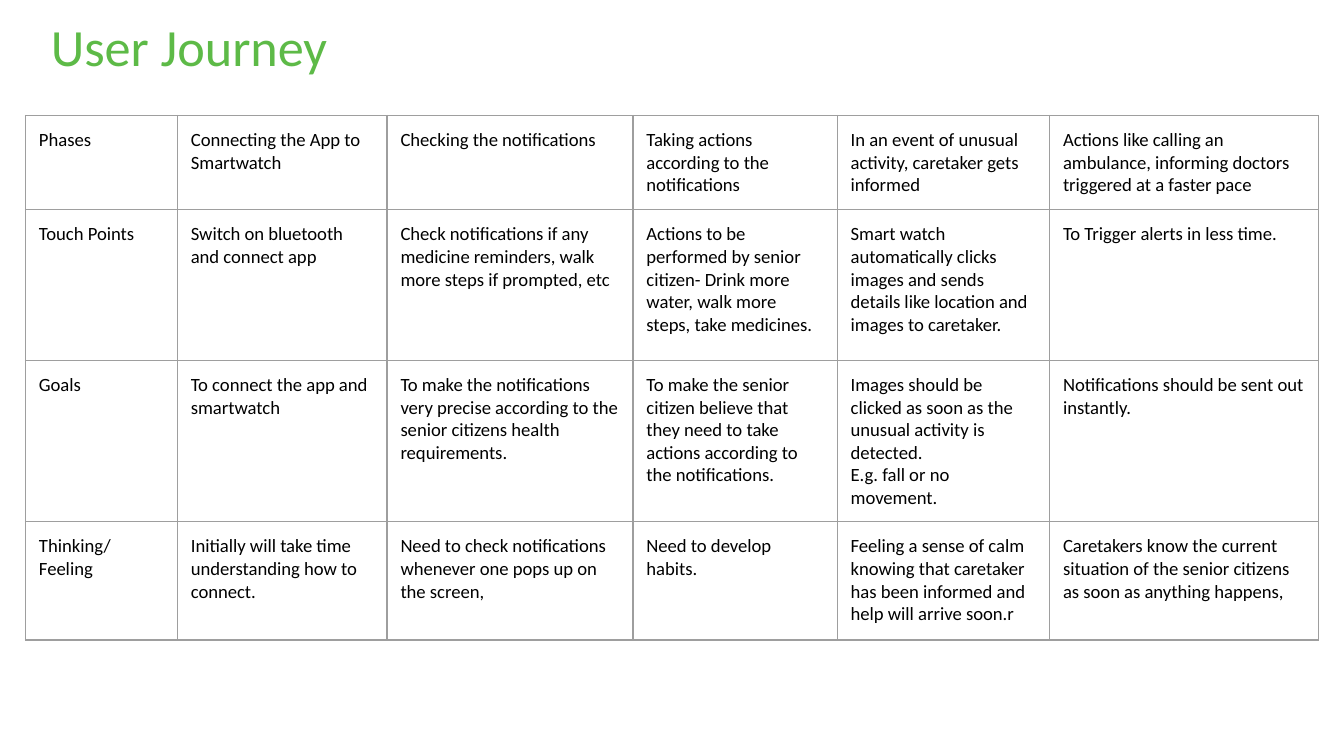
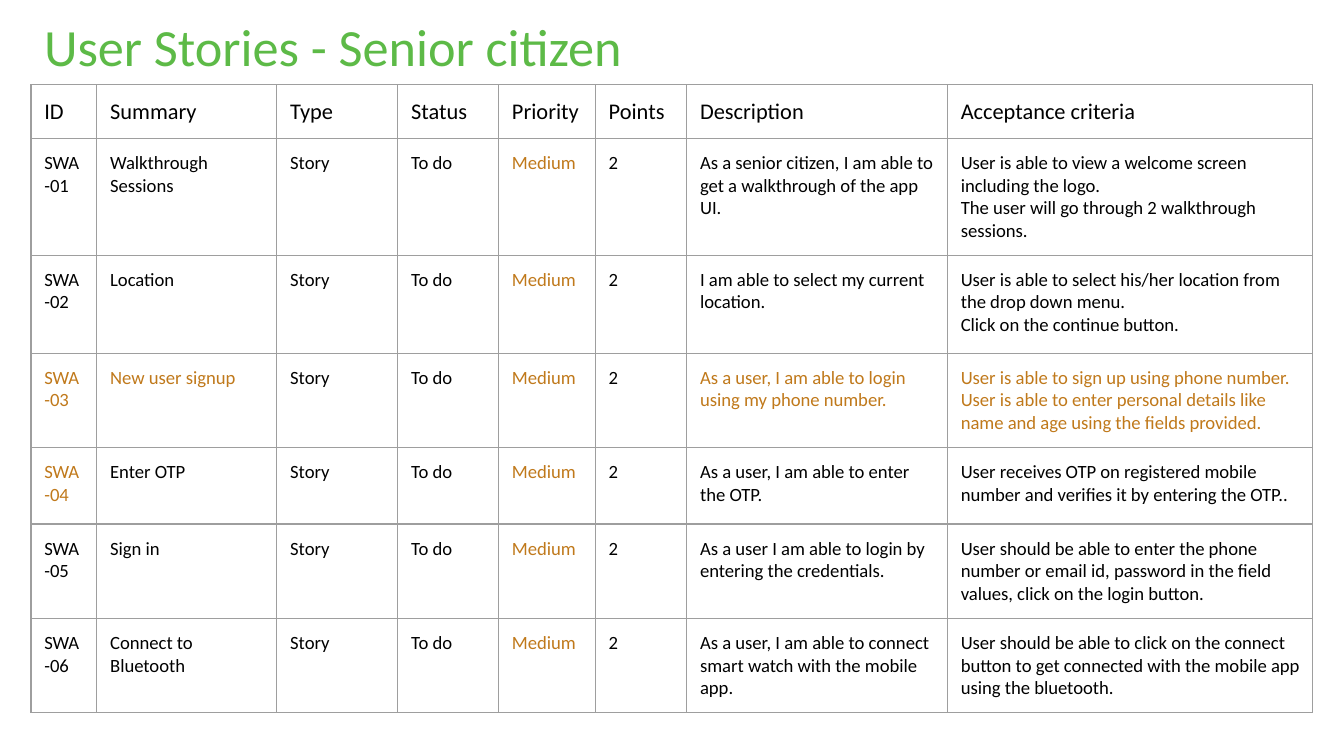
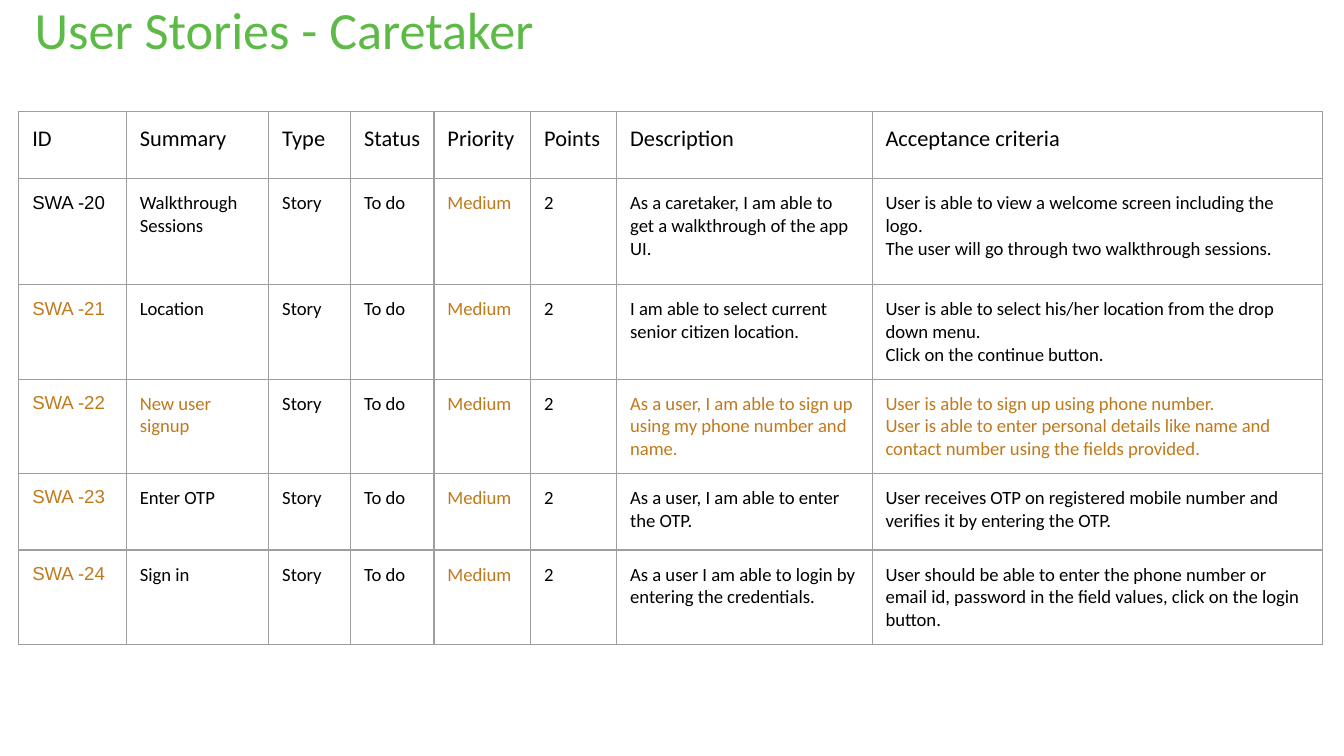
from lxml.etree import SubElement
from pptx import Presentation
from pptx.dml.color import RGBColor
from pptx.enum.text import MSO_AUTO_SIZE as AutoSize
from pptx.oxml.ns import qn
from pptx.util import Inches, Pt

GREEN, BLACK, AMBER, GREY = "5DBA47", "000000", "C0791B", "9E9E9E"
FONT = "Calibri"
CELL_MARGIN = 0.1

JOURNEY = [
    ["Phases", "Connecting the App to Smartwatch", "Checking the notifications",
     "Taking actions according to the notifications",
     "In an event of unusual activity, caretaker gets informed",
     "Actions like calling an ambulance, informing doctors triggered at a faster pace"],
    ["Touch Points", "Switch on bluetooth and connect app",
     "Check notifications if any medicine reminders, walk more steps if prompted, etc",
     "Actions to be performed by senior citizen- Drink more water, walk more steps, "
     "take medicines.",
     "Smart watch automatically clicks images and sends details like location and "
     "images to caretaker.",
     "To Trigger alerts in less time."],
    ["Goals", "To connect the app and smartwatch",
     "To make the notifications very precise according to the senior citizens health "
     "requirements.",
     "To make the senior citizen believe that they need to take actions according to "
     "the notifications.",
     "Images should be clicked as soon as the unusual activity is detected.\n"
     "E.g. fall or no movement.",
     "Notifications should be sent out instantly."],
    ["Thinking/Feeling", "Initially will take time understanding how to connect.",
     "Need to check notifications whenever one pops up on the screen,",
     "Need to develop habits.",
     "Feeling a sense of calm knowing that caretaker has been informed and help will "
     "arrive soon.r",
     "Caretakers know the current situation of the senior citizens as soon as "
     "anything happens,"],
]

STORY_HEADER = ["ID", "Summary", "Type", "Status", "Priority", "Points",
                "Description", "Acceptance criteria"]
ID, SUMMARY, PRIORITY, DESCRIPTION, CRITERIA = 0, 1, 4, 6, 7
WHOLE_STORY = {ID, SUMMARY, DESCRIPTION, CRITERIA}

# A tuple holds separate paragraphs; a newline is a line break within one.
LOCATION_CRITERIA = ("User is able to select his/her location from the drop down menu.",
                     "Click on the continue button.")
ENTER_OTP = "As a user, I am able to enter the OTP."
SIGN_IN = "As a user I am able to login by entering the credentials."
SIGN_IN_CRITERIA = ("User should be able to enter the phone number or email id, password "
                    "in the field values, click on the login button.")

# ID, summary, description, acceptance criteria, amber columns
SENIOR_STORIES = [
    ("SWA-01", "Walkthrough Sessions",
     "As a senior citizen, I am able to get a walkthrough of the app UI.",
     "User is able to view a welcome screen including the logo.\n"
     "The user will go through 2 walkthrough sessions.", set()),
    ("SWA-02", "Location", "I am able to select my current location.",
     LOCATION_CRITERIA, set()),
    ("SWA-03", "New user signup", "As a user, I am able to login using my phone number.",
     "User is able to sign up using phone number.\nUser is able to enter personal "
     "details like name and age using the fields provided.", WHOLE_STORY),
    ("SWA-04", "Enter OTP", ENTER_OTP,
     "User receives OTP on registered mobile number and verifies it by entering the "
     "OTP..", {ID}),
    ("SWA-05", "Sign in", SIGN_IN, SIGN_IN_CRITERIA, set()),
    ("SWA-06", "Connect to Bluetooth",
     "As a user, I am able to connect smart watch with the mobile app.",
     "User should be able to click on the connect button to get connected with the "
     "mobile app using the bluetooth.", set()),
]
CARETAKER_STORIES = [
    ("SWA -20", "Walkthrough Sessions",
     "As a caretaker, I am able to get a walkthrough of the app UI.",
     "User is able to view a welcome screen including the logo.\n"
     "The user will go through two walkthrough sessions.", set()),
    ("SWA -21", "Location", "I am able to select current senior citizen location.",
     LOCATION_CRITERIA, {ID}),
    ("SWA -22", "New user signup",
     "As a user, I am able to sign up using my phone number and name.",
     "User is able to sign up using phone number.\nUser is able to enter personal "
     "details like name and contact number using the fields provided.", WHOLE_STORY),
    ("SWA -23", "Enter OTP", ENTER_OTP,
     "User receives OTP on registered mobile number and verifies it by entering the "
     "OTP.", {ID}),
    ("SWA -24", "Sign in", SIGN_IN, SIGN_IN_CRITERIA, {ID}),
]


def color(hex_string):
    return RGBColor.from_string(hex_string)


def write_text(frame, content, size, text_color=BLACK, font_name=FONT):
    """Write a string, or a tuple of paragraphs, into a text frame."""
    paragraphs = content if isinstance(content, tuple) else (content,)
    for index, text in enumerate(paragraphs):
        paragraph = frame.add_paragraph() if index else frame.paragraphs[0]
        for line_number, line in enumerate(text.split("\n")):
            if line_number:
                paragraph.add_line_break()
            run = paragraph.add_run()
            run.text = line
            run.font.size = Pt(size)
            run.font.name = font_name
            run.font.color.rgb = color(text_color)


def add_title(slide, text, left, top, width):
    box = slide.shapes.add_textbox(Inches(left), Inches(top), Inches(width), Inches(0.57))
    frame = box.text_frame
    frame.word_wrap = True
    frame.auto_size = AutoSize.SHAPE_TO_FIT_TEXT
    write_text(frame, text, 28, GREEN)


def set_borders(cell):
    properties = cell._tc.get_or_add_tcPr()
    for side in ("a:lnL", "a:lnR", "a:lnT", "a:lnB"):
        line = SubElement(properties, qn(side), w=str(Pt(0.75)))
        fill = SubElement(line, qn("a:solidFill"))
        SubElement(fill, qn("a:srgbClr"), val=GREY)


def add_grid(slide, left, top, widths, heights):
    """Add an empty, unfilled table with thin grey borders."""
    table = slide.shapes.add_table(
        len(heights), len(widths), Inches(left), Inches(top),
        Inches(sum(widths)), Inches(sum(heights))).table
    table.first_row = table.horz_banding = False
    for column, width in zip(table.columns, widths):
        column.width = Inches(width)
    for row, height in zip(table.rows, heights):
        row.height = Inches(height)
    for cell in table.iter_cells():
        cell.margin_left = cell.margin_right = Inches(CELL_MARGIN)
        cell.margin_top = cell.margin_bottom = Inches(CELL_MARGIN)
        set_borders(cell)
        cell.fill.background()
    return table


def fill_journey(table):
    for row, texts in enumerate(JOURNEY):
        for column, text in enumerate(texts):
            write_text(table.cell(row, column).text_frame, text, 10)


def fill_stories(table, stories, id_font=FONT):
    for column, heading in enumerate(STORY_HEADER):
        write_text(table.cell(0, column).text_frame, heading, 12)
    for row, (story_id, summary, description, criteria, amber) in enumerate(stories, 1):
        values = [story_id, summary, "Story", "To do", "Medium", "2", description, criteria]
        for column, value in enumerate(values):
            write_text(table.cell(row, column).text_frame, value, 10,
                       AMBER if column in amber | {PRIORITY} else BLACK,
                       id_font if column == ID else FONT)


def main():
    presentation = Presentation()
    presentation.slide_width = Inches(10)
    presentation.slide_height = Inches(10) * 9 // 16
    blank = presentation.slide_layouts[6]

    slide = presentation.slides.add_slide(blank)
    add_title(slide, "User Journey", 0.28, 0.06, 3.76)
    fill_journey(add_grid(slide, 0.19, 0.86, [1.13, 1.56, 1.83, 1.52, 1.58, 2],
                          [0.62, 1.12, 1.13, 0.88]))

    slide = presentation.slides.add_slide(blank)
    add_title(slide, "User Stories - Senior citizen", 0.23, 0.06, 4.96)
    table = add_grid(slide, 0.23, 0.63, [0.49, 1.34, 0.9, 0.75, 0.72, 0.68, 1.94, 2.72],
                     [0.33, 0.8, 0.73, 0.69, 0.57, 0.57, 0.57])
    fill_stories(table, SENIOR_STORIES)

    slide = presentation.slides.add_slide(blank)
    add_title(slide, "User Stories - Caretaker", 0.16, -0.07, 5.68)
    table = add_grid(slide, 0.14, 0.83, [0.8, 1.06, 0.61, 0.62, 0.72, 0.64, 1.9, 3.35],
                     [0.5, 0.79, 0.67, 0.7, 0.57, 0.66])
    fill_stories(table, CARETAKER_STORIES, id_font="Arial")

    presentation.save("out.pptx")


if __name__ == "__main__":
    main()
